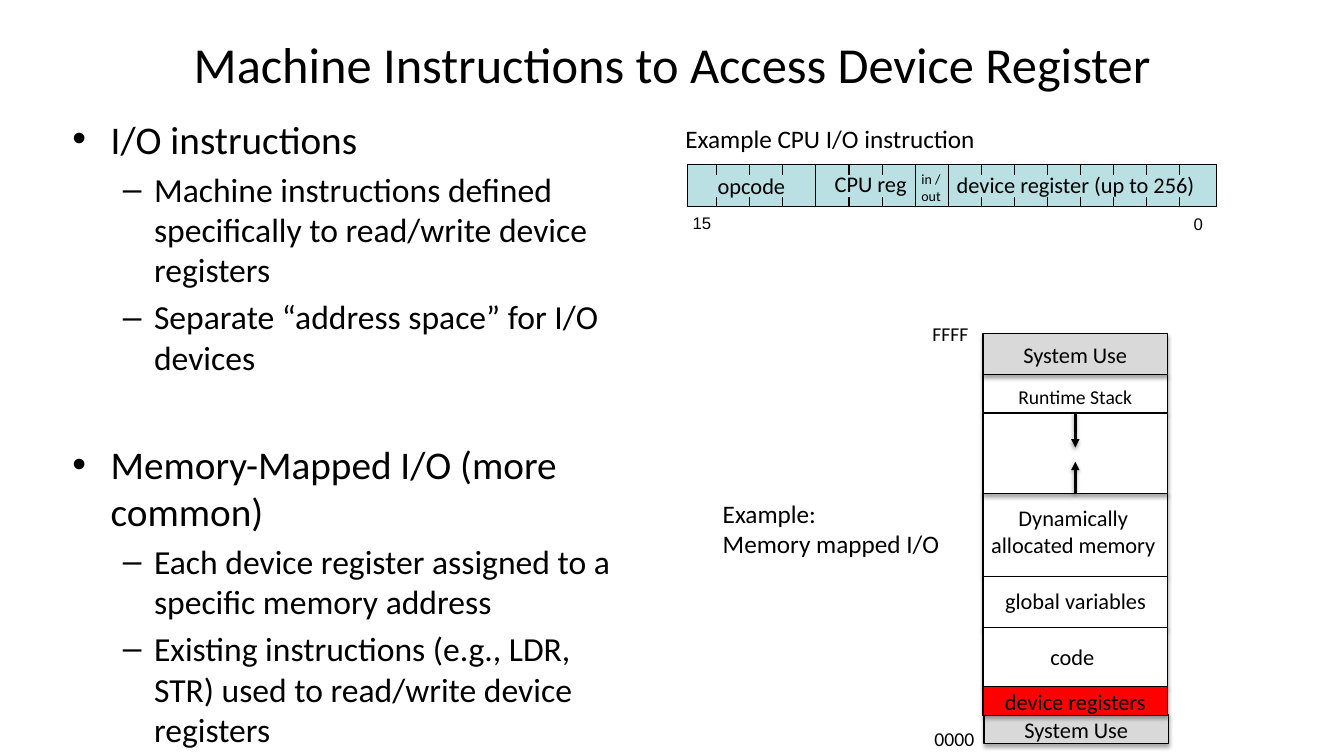
import pptx
import pptx.dml.color
import pptx.enum.shapes
import pptx.enum.text
import pptx.oxml
import pptx.oxml.ns
import pptx.util

Inches = pptx.util.Inches
Pt = pptx.util.Pt
ALIGN = pptx.enum.text.PP_ALIGN
ANCHOR = pptx.enum.text.MSO_ANCHOR

COLORS = {
    "black": "000000",
    "white": "FFFFFF",
    "gray": "D9D9D9",
    "red": "FF0000",
    "blue": "BBE0E3",
}


def element(xml):
    namespace = pptx.oxml.ns.nsdecls("a")
    return pptx.oxml.parse_xml(xml.replace("/>", f" {namespace}/>", 1) if xml.endswith("/>")
                               and xml.count("<") == 1 else xml.replace(">", f" {namespace}>", 1))


class SlideBuilder:
    font = "Calibri"
    thin = 0.75

    def __init__(self, slide):
        self.slide = slide

    def color(self, name):
        return pptx.dml.color.RGBColor.from_string(COLORS[name])

    def run(self, paragraph, text, size, font=None):
        run = paragraph.add_run()
        run.text = text
        run.font.size = Pt(size)
        run.font.name = font or self.font
        run.font.color.rgb = self.color("black")

    def shadow(self, shape, alpha, distance):
        shape._element.spPr.append(element(
            f'<a:effectLst><a:outerShdw blurRad="{Pt(3.1)}" dist="{Pt(distance)}" dir="5400000"'
            f' rotWithShape="0"><a:srgbClr val="{COLORS["black"]}"><a:alpha val="{alpha}000"/>'
            '</a:srgbClr></a:outerShdw></a:effectLst>'))

    def text(self, left, top, width, height, lines, size, wrap=False, align=ALIGN.LEFT,
             font=None, anchor=ANCHOR.TOP, grow=True):
        box = self.slide.shapes.add_textbox(Inches(left), Inches(top), Inches(width), Inches(height))
        frame = box.text_frame
        frame.word_wrap = wrap
        frame.vertical_anchor = anchor
        if grow:
            frame.auto_size = pptx.enum.text.MSO_AUTO_SIZE.SHAPE_TO_FIT_TEXT
        for index, line in enumerate(lines):
            paragraph = frame.add_paragraph() if index else frame.paragraphs[0]
            paragraph.alignment = align
            self.run(paragraph, line, size, font)

    def bullets(self, left, top, width, height, items):
        box = self.slide.shapes.add_textbox(Inches(left), Inches(top), Inches(width), Inches(height))
        frame = box.text_frame
        frame.word_wrap = True
        for index, (level, space, line) in enumerate(items):
            paragraph = frame.add_paragraph() if index else frame.paragraphs[0]
            size, margin, indent, mark = [(28, 0.38, -0.38, "•"), (24, 0.81, -0.31, "–")][level]
            paragraph.level = level
            paragraph.space_before = Pt(space)
            properties = paragraph._p.get_or_add_pPr()
            properties.set("marL", str(Inches(margin)))
            properties.set("indent", str(Inches(indent)))
            properties.append(element('<a:buFont typeface="Arial"/>'))
            properties.append(element(f'<a:buChar char="{mark}"/>'))
            self.run(paragraph, line, size)

    def rectangle(self, left, top, width, height, fill, label=None, shadow=True):
        shape = self.slide.shapes.add_shape(
            pptx.enum.shapes.MSO_SHAPE.RECTANGLE,
            Inches(left), Inches(top), Inches(width), Inches(height))
        shape.fill.solid()
        shape.fill.fore_color.rgb = self.color(fill)
        shape.line.color.rgb = self.color("black")
        shape.line.width = Pt(self.thin)
        if shadow:
            self.shadow(shape, 35, 1.8)
        else:
            shape.shadow.inherit = False
        if label:
            frame = shape.text_frame
            frame.word_wrap = True
            frame.vertical_anchor = ANCHOR.MIDDLE
            frame.paragraphs[0].alignment = ALIGN.CENTER
            self.run(frame.paragraphs[0], label, 16)
        return shape

    def line(self, x, top, bottom, width=thin):
        connector = self.slide.shapes.add_connector(
            pptx.enum.shapes.MSO_CONNECTOR.STRAIGHT,
            Inches(x), Inches(top), Inches(x), Inches(bottom))
        connector.line.color.rgb = self.color("black")
        connector.line.width = Pt(width)
        if width == self.thin:
            connector._element.spPr.append(element("<a:effectLst/>"))
        return connector

    def arrow(self, x, start, end, source, side):
        connector = self.line(x, start, end, 2)
        connector.begin_connect(source, side)
        connector.line._get_or_add_ln().append(element('<a:tailEnd type="triangle"/>'))
        self.shadow(connector, 38, 1.6)


def draw_instruction(builder):
    left, top, height, bits = 6.82, 1.63, 0.42, 16
    builder.text(6.7, 1.17, 3.1, 0.4, ["Example CPU I/O instruction"], 18)
    builder.rectangle(left, top, 5.25, height, "blue", shadow=False)
    for bit in range(1, bits):
        x = 6.78 + bit * 5.25 / bits
        if bit in (4, 7, 8):
            builder.line(x, top, top + height)
        else:
            builder.line(x, top, top + 0.11)
            builder.line(x, top + 0.32, top + height)
    builder.text(11.74, 2.07, 0.29, 0.3, ["0"], 12, font="Arial")
    builder.text(6.77, 2.06, 0.39, 0.3, ["15"], 12, font="Arial")
    builder.text(7.02, 1.66, 0.88, 0.37, ["opcode"], 16)
    builder.text(8.18, 1.64, 0.92, 0.37, ["CPU reg"], 16)
    builder.text(9.04, 1.64, 0.41, 0.44, ["in / out"], 10, wrap=True)
    builder.text(9.39, 1.65, 2.59, 0.37, ["device register (up to 256)"], 16)


def draw_memory(builder):
    left, width = 9.75, 1.83
    stack = builder.rectangle(left, 3.72, width, 0.37, "white")
    heap = builder.rectangle(left, 4.89, width, 0.83, "white")
    for top, height in ((5.72, 0.51), (6.23, 0.59)):
        builder.rectangle(left, top, width, height, "white")
    builder.text(10.32, 6.33, 0.64, 0.37, ["code"], 16)
    builder.text(9.87, 5.78, 1.62, 0.37, ["global variables"], 16)
    builder.text(9.71, 4.95, 1.87, 0.64, ["Dynamically allocated memory"], 16, True, ALIGN.CENTER)
    builder.text(9.71, 3.77, 1.91, 0.34, ["Runtime Stack"], 14, True, ALIGN.CENTER)
    builder.rectangle(left, 3.31, width, 0.41, "gray", "System Use")
    builder.rectangle(9.76, 7.09, width, 0.29, "gray", "System Use")
    builder.text(9.17, 7.16, 0.6, 0.34, ["0000"], 14)
    builder.text(9.15, 3.14, 0.56, 0.34, ["FFFF"], 14)
    builder.rectangle(left, 4.1, width, 0.8, "white")
    middle = left + width / 2
    builder.arrow(middle, 4.09, 4.44, stack, 2)
    builder.arrow(middle, 4.89, 4.58, heap, 0)
    builder.rectangle(left, 6.81, width, 0.29, "red", "device registers")
    builder.text(7.07, 4.89, 2.37, 0.71, ["Example:", "Memory mapped I/O"], 18)


def main():
    presentation = pptx.Presentation()
    presentation.slide_width = Inches(13.33)
    presentation.slide_height = Inches(7.5)
    builder = SlideBuilder(presentation.slides.add_slide(presentation.slide_layouts[6]))
    builder.text(1.67, 0, 10, 1.25, ["Machine Instructions to Access Device Register"], 36,
                 True, ALIGN.CENTER, anchor=ANCHOR.MIDDLE, grow=False)
    builder.bullets(0.62, 1.09, 5.57, 6.41, [
        (0, 5.6, "I/O instructions"),
        (1, 4.8, "Machine instructions defined specifically to read/write device registers"),
        (1, 4.8, "Separate “address space” for I/O devices"),
        (0, 45, "Memory-Mapped I/O (more common)"),
        (1, 4.8, "Each device register assigned to a specific memory address"),
        (1, 4.8, "Existing instructions (e.g., LDR, STR) used to read/write device registers"),
    ])
    draw_instruction(builder)
    draw_memory(builder)
    presentation.save("out.pptx")


if __name__ == "__main__":
    main()
